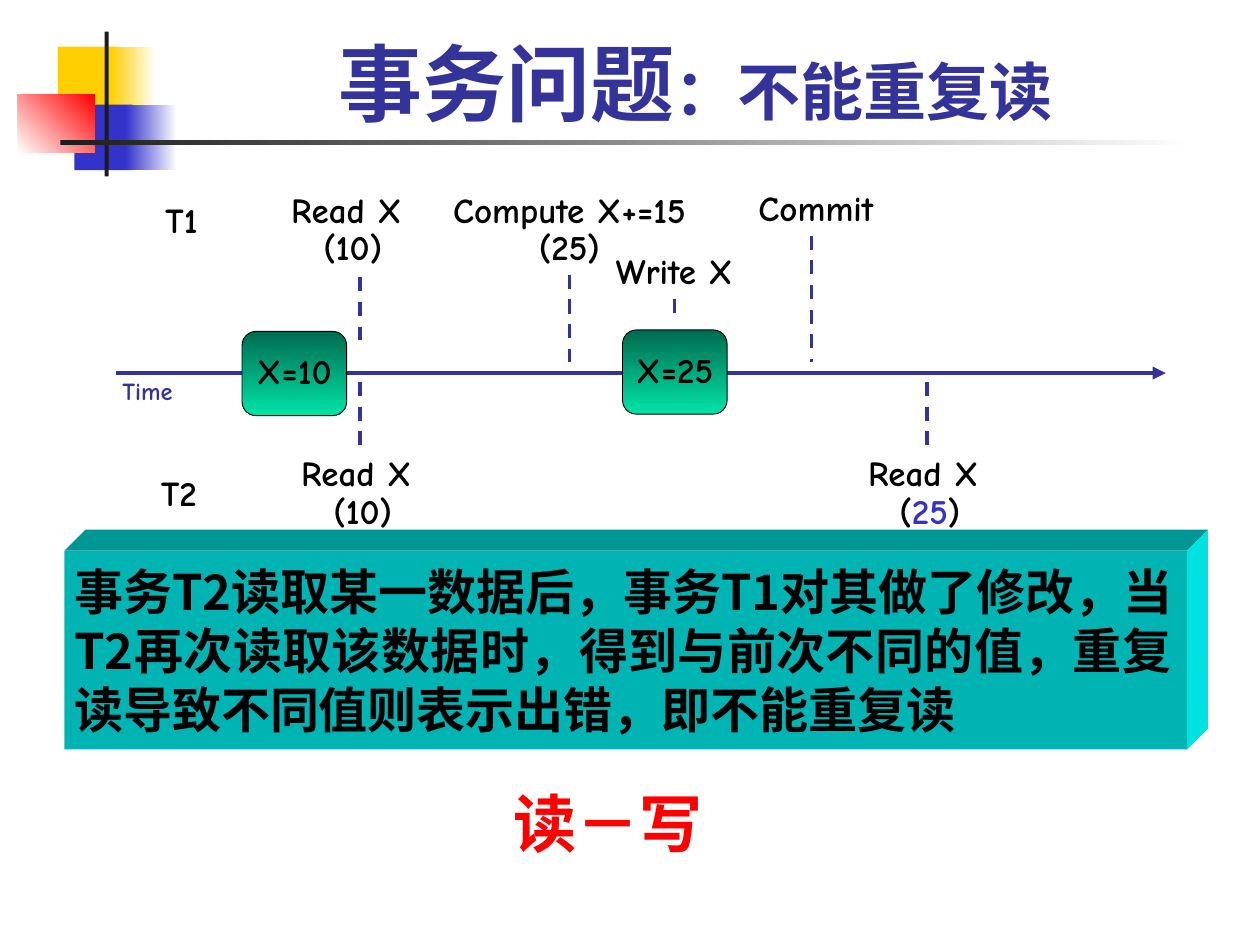
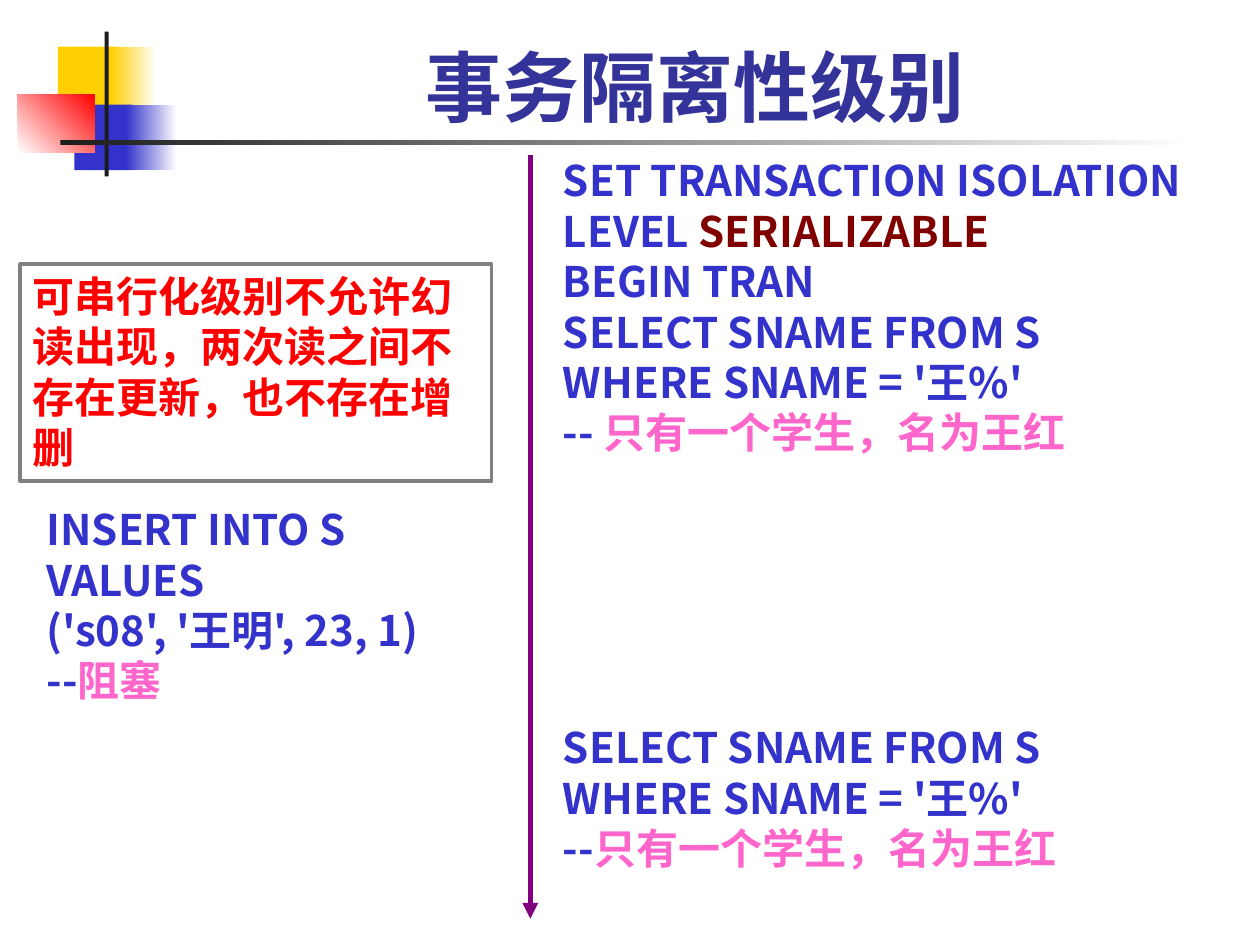
from dataclasses import dataclass
from typing import NamedTuple

from lxml.etree import SubElement
from pptx import Presentation
from pptx.dml.color import RGBColor
from pptx.enum.dml import MSO_LINE as Dash
from pptx.enum.shapes import MSO_CONNECTOR as Conn, MSO_SHAPE as Shape
from pptx.enum.text import MSO_ANCHOR as Anchor, MSO_AUTO_SIZE as Auto, PP_ALIGN as Align
from pptx.oxml.ns import qn
from pptx.util import Cm, Pt

NAVY, BLUE, PINK, RED = "333399", "3333CC", "FF66CC", "FF0000"
GOLD, INK, WHITE, BLACK = "FFCF01", "1C1C1C", "FFFFFF", "000000"
COMIC, SANS = "Comic Neue", "Noto Sans CJK SC"


class Box(NamedTuple):
    left: float
    top: float
    wide: float
    high: float


class Run(NamedTuple):
    text: str
    color: str = ""
    size: float = 0


@dataclass
class Block:
    """A rectangle; with a second colour it becomes a gradient."""
    box: Box
    color: str
    end: str = ""
    angle: float = 0


@dataclass
class Event:
    """A label on the time line and its dashed mark at x from y1 to y2."""
    box: Box
    paras: list
    x: float
    y1: float
    y2: float


DECOR = [
    Block(Box(1.17, 0.94, 1.22, 1.32), GOLD),
    Block(Box(2.24, 0.94, 0.91, 1.32), GOLD, WHITE),
    Block(Box(1.5, 2.11, 1.17, 1.32), BLUE),
    Block(Box(2.54, 2.11, 1.02, 1.32), BLUE, WHITE),
    Block(Box(0.36, 1.9, 1.55, 1.17), WHITE, RED, 45),
    Block(Box(2.11, 0.64, 0.08, 2.92), INK),
    Block(Box(1.22, 2.82, 22.86, 0.1), INK, WHITE),
]
TITLE = Box(3.2, 0.43, 21.64, 2.36)

EVENTS = [
    Event(Box(5.79, 9.07, 3.05, 1.78), ["Read X \n(10)"], 7.26, 7.7, 9.19),
    Event(Box(5.59, 3.76, 3.05, 1.78), ["Read X \n(10)"], 7.26, 5.59, 6.86),
    Event(Box(8.74, 3.76, 5.48, 1.78), ["Compute X+=15", "(25)"], 11.48, 5.54, 7.29),
    Event(Box(11.99, 5, 3.22, 1.02), ["Write X"], 13.6, 6.02, 6.43),
    Event(Box(14.99, 3.73, 2.92, 1.02), ["Commit"], 16.36, 4.75, 7.29),
    Event(Box(17.22, 9.07, 3.05, 1.78),
          [[Run("Read X \n("), Run("25", BLUE), Run(")")]], 18.69, 7.7, 9.19),
]
STATES = {"X=25": Box(12.55, 6.65, 2.11, 1.7), "X=10": Box(4.88, 6.68, 2.11, 1.7)}
NAMES = {"T1": Box(3, 3.96, 1.32, 1.02), "T2": Box(2.9, 9.47, 1.42, 1.02)}

QUERY = ["SELECT SNAME FROM S", "WHERE SNAME = '王%'"]
FOUND = Run("只有一个学生，名为王红", PINK)
CODE = {
    Box(11.1, 3, 13.79, 6.35): [
        [Run("SET TRANSACTION ISOLATION LEVEL "), Run("SERIALIZABLE", "800000")],
        "BEGIN TRAN", *QUERY, [Run("-- "), FOUND]],
    Box(0.69, 10.03, 9.7, 3.3): [
        "INSERT INTO S VALUES", "('s08', '王明', 23, 1)",
        [Run("--"), Run("阻塞", PINK)]],
    Box(11.1, 14.43, 12.8, 3.3): [*QUERY, [Run("--"), FOUND]],
}


def rgb(color: str) -> RGBColor:
    return RGBColor.from_string(color)


def span(box: Box) -> list:
    return [Cm(side) for side in box]


def paint(shape, color: str, end: str = "", angle: float = 0) -> None:
    """Fill with one colour, or with a gradient to a second one."""
    if not end:
        shape.fill.solid()
        shape.fill.fore_color.rgb = rgb(color)
        return
    shape.fill.gradient()
    shape.fill.gradient_angle = angle
    for stop, tone in zip(shape.fill.gradient_stops, (color, end)):
        stop.color.rgb = rgb(tone)


def draw(slide, block: Block, kind=Shape.RECTANGLE):
    shape = slide.shapes.add_shape(kind, *span(block.box))
    shape.shadow.inherit = False
    paint(shape, block.color, block.end, block.angle)
    shape.line.fill.background()
    return shape


def style(run, font: str, size: float, color: str) -> None:
    run.font.name, run.font.size, run.font.bold = font, Pt(size), True
    run.font.color.rgb = rgb(color)
    east = SubElement(run.font._element, qn("a:ea"))
    east.set("typeface", font if font.startswith("Noto") else SANS)


def write(shape, paras: list, *, font: str = SANS, size: float = 24, color: str = BLUE,
          align=Align.LEFT, anchor=Anchor.TOP, wrap: bool = True, lead: float = 0):
    frame = shape.text_frame
    frame.auto_size, frame.word_wrap = Auto.NONE, wrap
    frame.vertical_anchor = anchor
    for i, runs in enumerate(paras):
        para = frame.add_paragraph() if i else frame.paragraphs[0]
        para.alignment = align
        if lead:
            para.line_spacing = lead
        for part in [Run(runs)] if isinstance(runs, str) else runs:
            for j, line in enumerate(part.text.split("\n")):
                if j:
                    para.add_line_break()
                run = para.add_run()
                run.text = line
                style(run, font, part.size or size, part.color or color)
    return shape


def label(slide, box: Box, paras: list, **form):
    return write(slide.shapes.add_textbox(*span(box)), paras, **form)


def note(shape, paras: list, size: float = 20, color: str = BLACK):
    """Write centred time line lettering."""
    return write(shape, paras, font=COMIC, size=size, color=color, align=Align.CENTER,
                 anchor=Anchor.MIDDLE, wrap=False, lead=0.9)


def rule(slide, ends: tuple, color: str, width: float, dash: bool = False):
    line = slide.shapes.add_connector(Conn.STRAIGHT, *[Cm(end) for end in ends])
    line.line.color.rgb = rgb(color)
    line.line.width = Pt(width)
    if dash:
        line.line.dash_style = Dash.DASH
    else:
        SubElement(line.line._get_or_add_ln(), qn("a:tailEnd"), type="triangle")
    SubElement(line._element.spPr, qn("a:effectLst"))
    return line


def mark(slide, event: Event) -> None:
    box = event.box
    shape = note(slide.shapes.add_textbox(*span(box)), event.paras)
    line = rule(slide, (event.x, event.y1, event.x, event.y2), NAVY, 2, dash=True)
    shift = abs(box.left + box.wide / 2 - event.x)
    if max(shift, abs(box.top + box.high - event.y1)) < 0.03:
        line.begin_connect(shape, 2)


def face(slide, points: list, color: str) -> None:
    (x, y), *rest = [(Cm(a), Cm(b)) for a, b in points]
    pen = slide.shapes.build_freeform(x, y)
    pen.add_line_segments(rest)
    shape = pen.convert_to_shape()
    shape.shadow.inherit = False
    paint(shape, color)
    shape.line.fill.background()


def slab(slide, box: Box, deep: float):
    """Draw a block seen from its front, with a top and a right face."""
    left, top = box.left, box.top
    right, base = left + box.wide, top + box.high
    face(slide, [(left, top), (left + deep, top - deep),
                 (right + deep, top - deep), (right, top)], "009696")
    face(slide, [(right, top), (right + deep, top - deep),
                 (right + deep, base - deep), (right, base)], "00E1E1")
    return draw(slide, Block(box, "00B4B4"))


def start(deck, title: list, size: float):
    """Add a slide with the corner blocks and the title."""
    slide = deck.slides.add_slide(deck.slide_layouts[5])
    for block in DECOR:
        draw(slide, block)
    head = slide.shapes.title
    head.left, head.top, head.width, head.height = span(TITLE)
    write(head, [title], font="Roboto", size=size, color=NAVY,
          align=Align.CENTER, anchor=Anchor.BOTTOM)
    return slide


def reread(deck) -> None:
    slide = start(deck, [Run("事务问题"), Run("：不能重复读", size=36)], 48)
    for name, box in NAMES.items():
        note(slide.shapes.add_textbox(*span(box)), [name])
    rule(slide, (2.34, 7.52, 23.5, 7.52), NAVY, 2.5)
    note(slide.shapes.add_textbox(*span(Box(2.16, 7.52, 1.63, 0.79))), ["Time"], 14, NAVY)
    for event in EVENTS:
        mark(slide, event)
    for text, box in STATES.items():
        state = draw(slide, Block(box, "006B4F", "00E4A8", 270), Shape.ROUNDED_RECTANGLE)
        state.line.color.rgb = rgb(BLACK)
        state.line.width = Pt(0.5)
        note(state, [text])
    front = slab(slide, Box(1.3, 11.1, 22.63, 4.01), 0.42)
    frame = front.text_frame
    frame.margin_left = frame.margin_top = frame.margin_bottom = Cm(0.2)
    frame.margin_right = Cm(0.3)
    write(front, ["事务T2读取某一数据后，事务T1对其做了修改，当T2再次读取该数据时，"
                  "得到与前次不同的值，重复读导致不同值则表示出错，即不能重复读"],
          font="Noto Sans CJK JP", size=28, color=BLACK,
          align=Align.JUSTIFY, anchor=Anchor.MIDDLE)
    label(slide, Box(10.36, 15.7, 3.81, 1.27), ["读－写"], size=36, color=RED,
          align=Align.CENTER, wrap=False)


def levels(deck) -> None:
    slide = start(deck, [Run("事务隔离性级别")], 44)
    for box, lines in CODE.items():
        label(slide, box, lines)
    rule(slide, (10.69, 3.12, 10.69, 18.52), "800080", 3)
    rim = draw(slide, Block(Box(0.41, 5.33, 9.5, 4.37), WHITE))
    rim.fill.background()
    rim.line.color.rgb = rgb("808080")
    rim.line.width = Pt(2.25)
    write(rim, ["可串行化级别不允许幻读出现，两次读之间不存在更新，也不存在增删"],
          font="Times New Roman", color=RED)


def main() -> None:
    deck = Presentation()
    deck.slide_width, deck.slide_height = Cm(25.4), Cm(19.05)
    reread(deck)
    levels(deck)
    deck.save("out.pptx")


if __name__ == "__main__":
    main()
